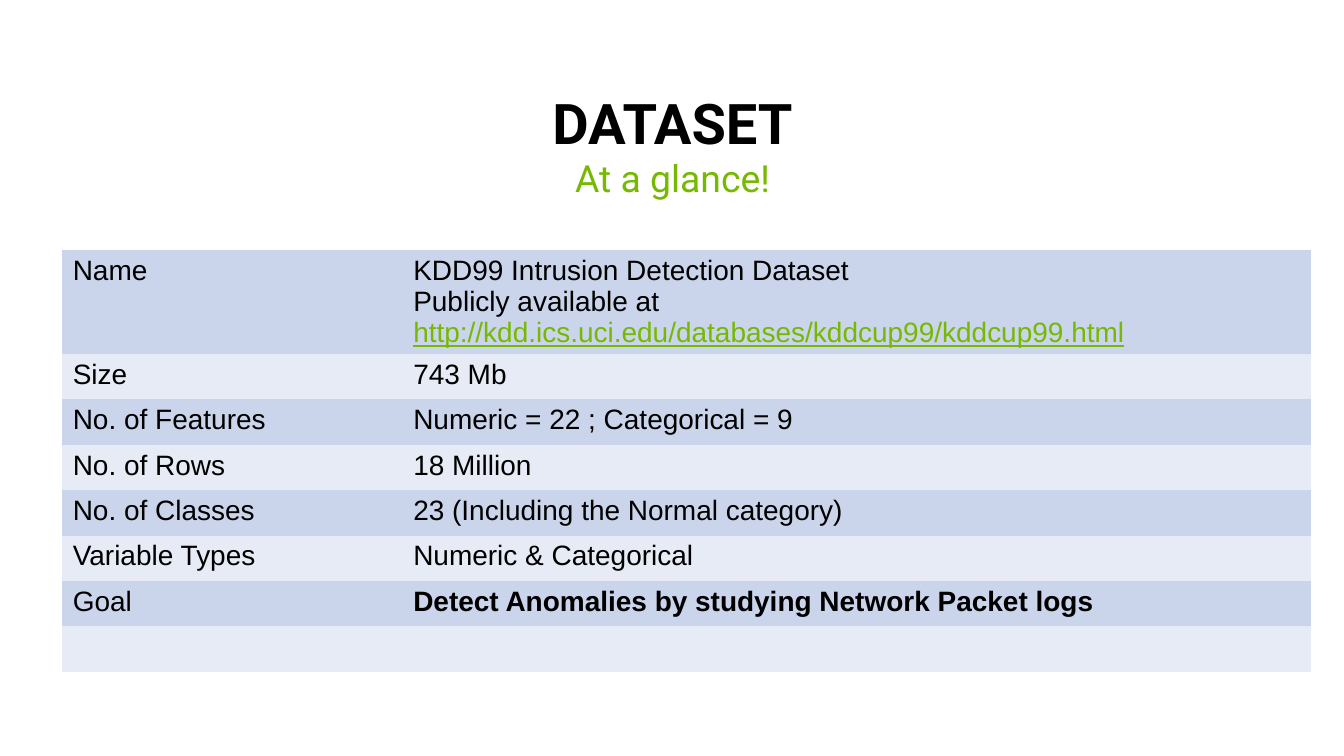
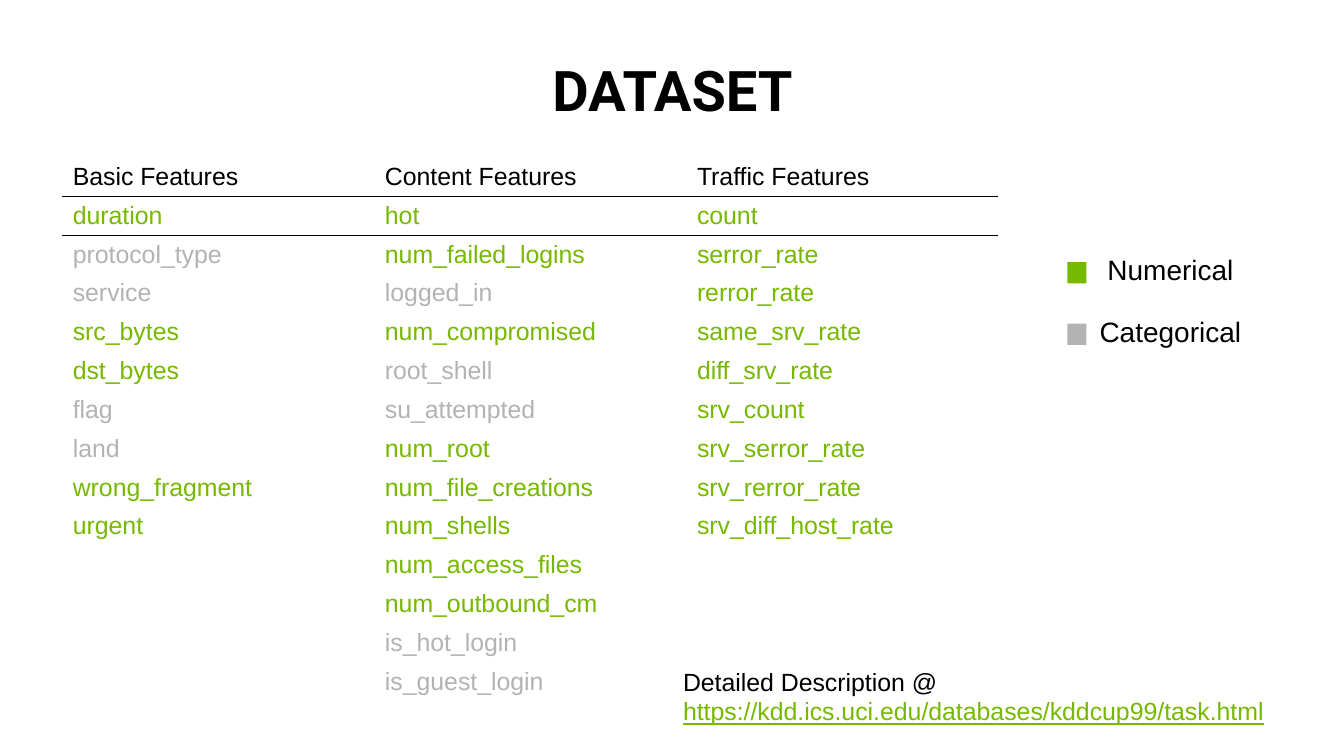
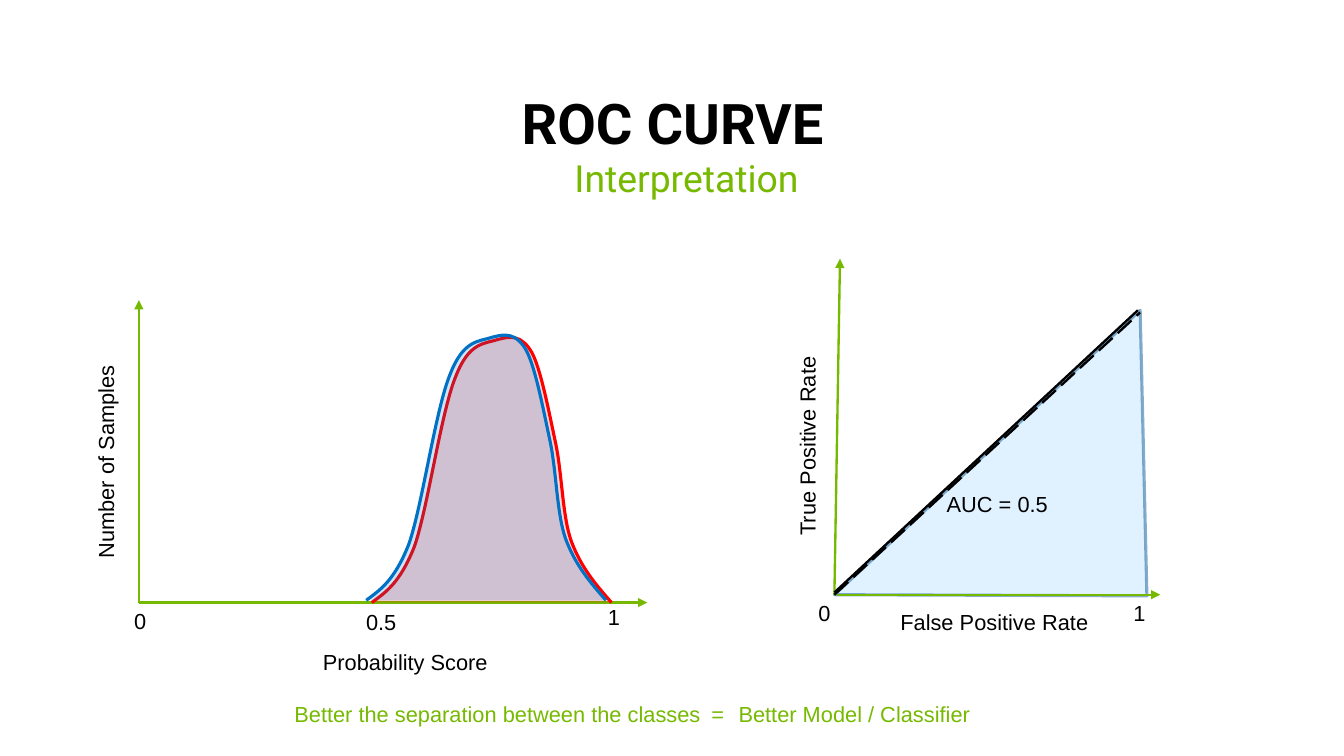
from itertools import zip_longest

from lxml import etree
from pptx import Presentation
from pptx.dml.color import RGBColor
from pptx.enum.dml import MSO_LINE
from pptx.enum.shapes import MSO_CONNECTOR, MSO_SHAPE
from pptx.enum.text import MSO_ANCHOR, MSO_AUTO_SIZE, PP_ALIGN
from pptx.oxml.ns import qn
from pptx.util import Inches, Pt

WIDTH, HEIGHT = 12, 6.75
MARGIN = 0.55
TITLE_WIDTH = 10.91
BLACK, GREEN, GREY = "000000", "76B900", "B3B3B3"
RED, BLUE, PALE_BLUE, NAVY = "FF0000", "0071C5", "C0E4FF", "005492"
BANDS = ("CAD4EA", "E6EBF5")
BODY_FONT, HEAD_FONT = "Arial", "Roboto"
PLAIN_TABLE = "{2D5ABB26-0587-4C30-8999-92F81FD0307C}"
LEFT, CENTER = PP_ALIGN.LEFT, PP_ALIGN.CENTER
TOP, MIDDLE, BOTTOM = MSO_ANCHOR.TOP, MSO_ANCHOR.MIDDLE, MSO_ANCHOR.BOTTOM
NO_FIT = MSO_AUTO_SIZE.NONE
STRAIGHT, RECTANGLE = MSO_CONNECTOR.STRAIGHT, MSO_SHAPE.RECTANGLE
LONG_DASH = MSO_LINE.LONG_DASH
INSET_X, INSET_Y, CELL_INSET_Y = Inches(0.1), Inches(0.05), Pt(3.25)
TITLE_LAYOUT_WITH_BODY, TITLE_LAYOUT = 1, 5

FACTS = [
    ("Name", "KDD99 Intrusion Detection Dataset"),
    ("Size", "743 Mb"),
    ("No. of Features", "Numeric = 22 ; Categorical = 9"),
    ("No. of Rows", "18 Million"),
    ("No. of Classes", "23 (Including the Normal category)"),
    ("Variable Types", "Numeric & Categorical"),
    ("Goal", "Detect Anomalies by studying Network Packet logs"),
    ("", ""),
]
FEATURES = {
    "Basic Features": [
        "duration", "protocol_type", "service", "src_bytes", "dst_bytes",
        "flag", "land", "wrong_fragment", "urgent"],
    "Content Features": [
        "hot", "num_failed_logins", "logged_in", "num_compromised",
        "root_shell", "su_attempted", "num_root", "num_file_creations",
        "num_shells", "num_access_files", "num_outbound_cm",
        "is_hot_login", "is_guest_login"],
    "Traffic Features": [
        "count", "serror_rate", "rerror_rate", "same_srv_rate",
        "diff_srv_rate", "srv_count", "srv_serror_rate",
        "srv_rerror_rate", "srv_diff_host_rate"],
}
CATEGORICAL = {
    "protocol_type", "service", "flag", "land", "logged_in", "root_shell",
    "su_attempted", "is_hot_login", "is_guest_login"}

BELL_START = (3.27, 5.36)
BELL_CURVES = [
    ((3.39, 5.27), (3.52, 5.19), (3.65, 4.86)),
    ((3.77, 4.52), (3.89, 3.65), (4.02, 3.34)),
    ((4.14, 3.03), (4.28, 3.05), (4.4, 3.01)),
    ((4.51, 2.98), (4.61, 2.97), (4.7, 3.13)),
    ((4.78, 3.28), (4.85, 3.65), (4.91, 3.93)),
    ((4.97, 4.21), (4.97, 4.58), (5.05, 4.81)),
    ((5.14, 5.05), (5.27, 5.2), (5.41, 5.36)),
]


def color(hex_code):
    return RGBColor.from_string(hex_code)


def inches(*lengths):
    return [Inches(length) for length in lengths]


def set_alpha(fill_parent, percent):
    tone = fill_parent.find(qn("a:solidFill")).find(qn("a:srgbClr"))
    etree.SubElement(tone, qn("a:alpha"), val=str(percent * 1000))


def add_run(para, text, size, ink=BLACK, font=BODY_FONT, bold=False, underline=False):
    span = para.add_run()
    span.text = text
    span.font.size = Pt(size)
    span.font.name = font
    span.font.bold = bold
    span.font.underline = underline
    span.font.color.rgb = color(ink)
    return span


def prepare_frame(frame, anchor=TOP):
    frame.word_wrap = True
    frame.auto_size = NO_FIT
    frame.vertical_anchor = anchor
    frame.margin_left = frame.margin_right = INSET_X
    frame.margin_top = frame.margin_bottom = INSET_Y
    return frame.paragraphs[0]


def place(box, *area):
    box.left, box.top, box.width, box.height = inches(*area)


def add_text(shapes, area, text, size=14, ink=BLACK, align=LEFT, anchor=TOP, turn=0):
    box = shapes.add_textbox(*inches(*area))
    box.rotation = turn
    para = prepare_frame(box.text_frame, anchor)
    para.alignment = align
    add_run(para, text, size, ink)
    return box


def add_heading(deck, title, subtitle=None, indent=0):
    layout = TITLE_LAYOUT_WITH_BODY if subtitle else TITLE_LAYOUT
    page = deck.slides.add_slide(deck.slide_layouts[layout])
    heading = page.shapes.title
    place(heading, MARGIN, 0.8 if subtitle else 0.5, TITLE_WIDTH, 0.65)
    lines = [(heading, BOTTOM, title, 36, BLACK, True)]
    if subtitle:
        body = page.placeholders[1]
        place(body, MARGIN, 1.38, TITLE_WIDTH, 0.57)
        properties = body.text_frame.paragraphs[0]._p.get_or_add_pPr()
        properties.set("marL", str(Inches(indent)))
        properties.set("indent", str(Inches(-indent / 2)))
        etree.SubElement(properties, qn("a:buNone"))
        lines.append((body, TOP, subtitle, 24, GREEN, False))
    for box, anchor, text, size, ink, bold in lines:
        para = prepare_frame(box.text_frame, anchor)
        para.alignment = CENTER
        para.line_spacing = 0.9
        para.space_before = Pt(0)
        add_run(para, text, size, ink, HEAD_FONT, bold)
    return page


def add_grid(page, area, widths, row_count, row_points):
    holder = page.shapes.add_table(row_count, len(widths), *inches(*area))
    table = holder.table
    table.first_row = table.horz_banding = False
    table._tbl.tblPr.find(qn("a:tableStyleId")).text = PLAIN_TABLE
    for column, width in zip(table.columns, widths):
        column.width = Inches(width)
    for row in table.rows:
        row.height = Pt(row_points)
    holder.height = Inches(area[3])
    return table


def fill_cell(cell, text, size, ink=BLACK, bold=False, band=None):
    cell.margin_left = cell.margin_right = INSET_X
    cell.margin_top = cell.margin_bottom = CELL_INSET_Y
    if band:
        cell.fill.solid()
        cell.fill.fore_color.rgb = color(band)
    else:
        cell.fill.background()
    para = cell.text_frame.paragraphs[0]
    if text:
        add_run(para, text, size, ink, bold=bold)
    else:
        ending = etree.SubElement(para._p, qn("a:endParaRPr"), sz=str(size * 100))
        etree.SubElement(ending, qn("a:latin"), typeface=BODY_FONT)


def underline_cell(cell):
    border = etree.Element(qn("a:lnB"), w=str(Pt(0.9)))
    paint = etree.SubElement(border, qn("a:solidFill"))
    etree.SubElement(paint, qn("a:srgbClr"), val=BLACK)
    cell._tc.get_or_add_tcPr().insert(0, border)


def add_line(shapes, start, end, ink, arrow=False, dash=None):
    line = shapes.add_connector(STRAIGHT, *inches(*start, *end))
    line.line.color.rgb = color(ink)
    line.line.width = Pt(1.5)
    if dash:
        line.line.dash_style = dash
    if arrow:
        etree.SubElement(line.line._get_or_add_ln(), qn("a:tailEnd"), type="triangle")
    etree.SubElement(line._element.spPr, qn("a:effectLst"))


def add_outline(page, points, fill, fill_alpha, ink, ink_alpha=100, close=False):
    first, *rest = [inches(*point) for point in points]
    builder = page.shapes.build_freeform(*first)
    builder.add_line_segments(rest, close=close)
    area = builder.convert_to_shape()
    area.shadow.inherit = False
    area.fill.solid()
    area.fill.fore_color.rgb = color(fill)
    set_alpha(area._element.spPr, fill_alpha)
    area.line.color.rgb = color(ink)
    area.line.width = Pt(2)
    if ink_alpha < 100:
        set_alpha(area.line._get_or_add_ln(), ink_alpha)
    return area


def add_bell(page, ink, alpha, shift_x=0, shift_y=0):
    points = [BELL_START] + [end for _, _, end in BELL_CURVES]
    shifted = [(x + shift_x, y + shift_y) for x, y in points]
    bell = add_outline(page, shifted, ink, alpha, ink)
    segments = list(bell._element.spPr.iter(qn("a:lnTo")))
    for segment, (first, second, _) in zip(segments, BELL_CURVES):
        segment.tag = qn("a:cubicBezTo")
        for index, (x, y) in enumerate((first, second)):
            handle = etree.Element(
                qn("a:pt"),
                x=str(Inches(x + shift_x) - bell.left),
                y=str(Inches(y + shift_y) - bell.top))
            segment.insert(index, handle)


def add_legend_entry(page, top, ink, label, label_left, align):
    key = page.shapes.add_shape(RECTANGLE, *inches(9.53, top + 0.1, 0.17, 0.19))
    key.shadow.inherit = False
    key.fill.solid()
    key.fill.fore_color.rgb = color(ink)
    key.line.fill.background()
    box = add_text(page.shapes, (label_left, top, 1.66, 0.37), label, 18,
                   align=align, anchor=MIDDLE)
    box.text_frame.paragraphs[0].line_spacing = 0.9


def build_overview(deck):
    page = add_heading(deck, "DATASET", "At a glance!")
    table = add_grid(page, (MARGIN, 2.23, 11.15, 3.84), (3.04, 8.12), len(FACTS), 29.2)
    for row, (label, value) in enumerate(FACTS):
        band = BANDS[row % 2]
        fill_cell(table.cell(row, 0), label, 18, band=band)
        fill_cell(table.cell(row, 1), value, 18, bold=label == "Goal", band=band)
    para = table.cell(0, 1).text_frame.add_paragraph()
    add_run(para, "Publicly available at ", 18)
    add_run(para, "http://kdd.ics.uci.edu/databases/kddcup99/kddcup99.html",
            18, GREEN, underline=True)


def build_features(deck):
    page = add_heading(deck, "DATASET")
    rows = [tuple(FEATURES), *zip_longest(*FEATURES.values(), fillvalue="")]
    table = add_grid(page, (MARGIN, 1.41, 8.36, 5.13), [8.36 / 3] * 3, len(rows), 25)
    for row, names in enumerate(rows):
        for column, name in enumerate(names):
            ink = BLACK if row == 0 else GREY if name in CATEGORICAL else GREEN
            cell = table.cell(row, column)
            fill_cell(cell, name, 16, ink)
            if row < 2:
                underline_cell(cell)
    add_legend_entry(page, 2.24, GREEN, "Numerical", 9.79, LEFT)
    add_legend_entry(page, 2.79, GREY, "Categorical", 9.62, CENTER)
    source = add_text(page.shapes, (WIDTH / 2, 5.9, 5.51, 0.64), "Detailed Description @", 16)
    add_run(source.text_frame.add_paragraph(),
            "https://kdd.ics.uci.edu/databases/kddcup99/task.html",
            16, GREEN, underline=True)


def add_sample_axes(page):
    shapes = page.shapes.add_group_shape().shapes
    origin = (1.24, 5.38)
    for end in ((1.24, 2.68), (5.78, 5.38)):
        add_line(shapes, origin, end, GREEN, arrow=True)
    add_text(shapes, (1.1, 5.38, 0.37, 0.41), "0")
    add_text(shapes, (3.17, 5.39, 0.69, 0.41), "0.5")
    add_text(shapes, (5.33, 5.34, 0.69, 0.41), "1")
    add_text(shapes, (1.57, 5.74, 4.1, 0.41), "Probability Score", align=CENTER)
    add_text(shapes, (-0.93, 3.91, 3.84, 0.43), "Number of Samples", align=CENTER, turn=270)


def add_rate_axes(page):
    shapes = page.shapes
    add_line(shapes, (7.45, 5.31), (7.5, 2.31), GREEN, arrow=True)
    add_line(shapes, (7.47, 5.31), (10.36, 5.31), GREEN, arrow=True)
    add_text(shapes, (7.94, 5.39, 2.91, 0.49), "False Positive Rate")
    add_text(shapes, (7.21, 5.31, 0.26, 0.49), "0")
    add_text(shapes, (10.02, 5.31, 0.68, 0.49), "1")
    add_text(shapes, (5.61, 2.95, 3.36, 0.5), "True Positive Rate", turn=270)
    add_line(shapes, (7.45, 5.31), (10.18, 2.79), BLACK, dash=LONG_DASH)
    add_text(shapes, (8.28, 4.33, 1.25, 0.34), "AUC = 0.5", align=CENTER)


def add_conclusion(page):
    box = add_text(page.shapes, (2.53, 6.21, 6.65, 0.34),
                   "Better the separation between the classes", ink=GREEN)
    para = box.text_frame.paragraphs[0]
    equals = add_run(para, " = ", 14, GREEN)
    equals.font._element.set("spc", "270")
    add_run(para, "Better Model / Classifier", 14, GREEN)


def build_roc(deck):
    page = add_heading(deck, "ROC CURVE", "Interpretation", indent=0.5)
    add_outline(page, [(7.45, 5.31), (10.18, 2.77), (10.24, 5.32)],
                PALE_BLUE, 49, NAVY, 47, close=True)
    add_sample_axes(page)
    add_rate_axes(page)
    add_bell(page, RED, 17, 0.05, 0.02)
    add_bell(page, BLUE, 19)
    add_line(page.shapes, (7.45, 5.29), (10.16, 2.77), BLACK)
    add_conclusion(page)


def main():
    deck = Presentation()
    deck.slide_width, deck.slide_height = inches(WIDTH, HEIGHT)
    build_overview(deck)
    build_features(deck)
    build_roc(deck)
    deck.save("out.pptx")


if __name__ == "__main__":
    main()
